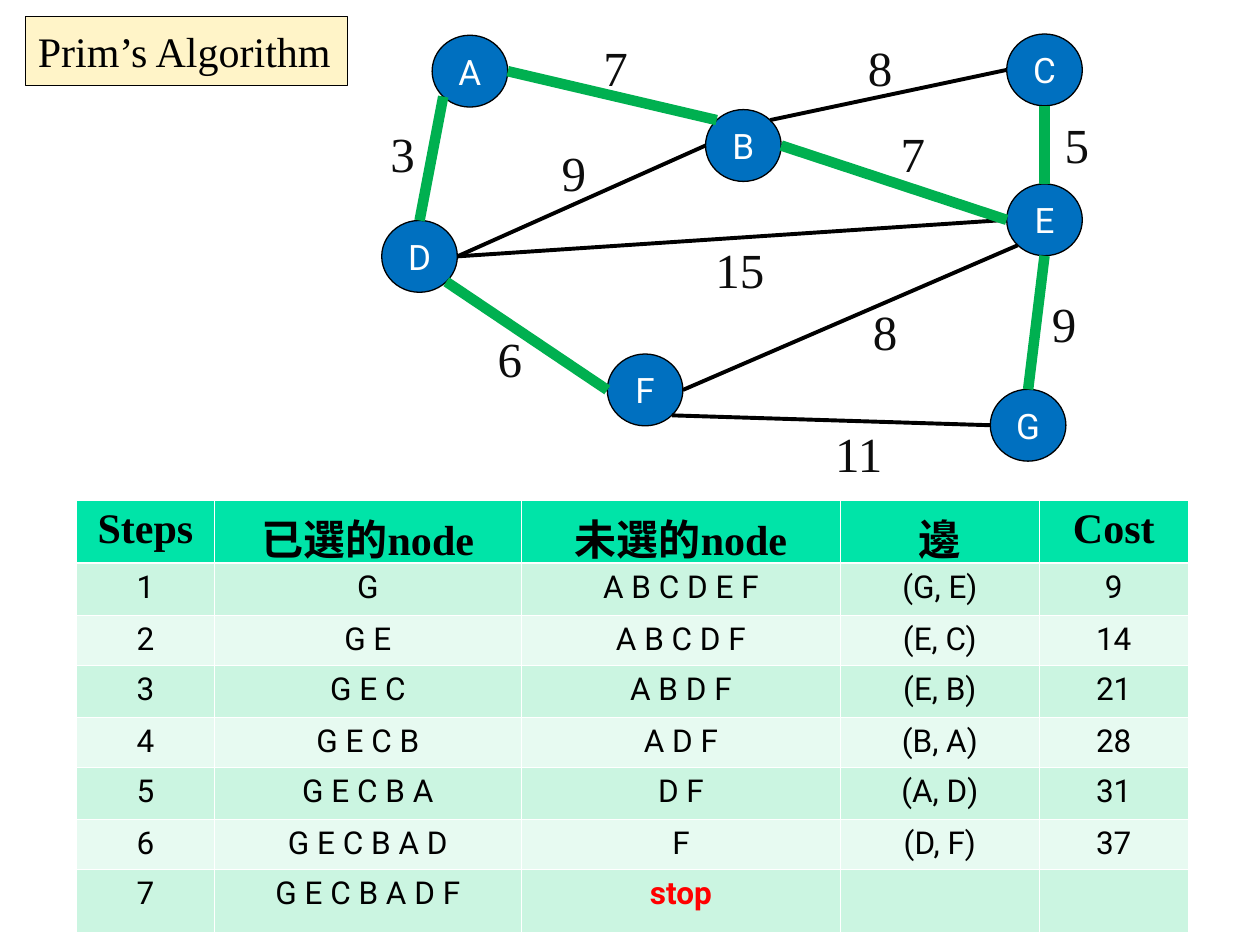
"""Build a slide that traces Prim's algorithm on a weighted graph."""
from math import cos, radians, sin

from lxml.etree import SubElement
from pptx import Presentation
from pptx.dml.color import RGBColor
from pptx.enum.shapes import MSO_CONNECTOR, MSO_SHAPE
from pptx.enum.text import MSO_ANCHOR, MSO_AUTO_SIZE, PP_ALIGN
from pptx.oxml.ns import qn
from pptx.util import Inches, Pt

THEME = {
    "node": "0070C0", "title": "FFF4C8", "chosen": "00B050", "ink": "000000",
    "header": "00E4A8", "bands": ("CBF5E1", "E7FAF1"), "grid": "FFFFFF",
    "thin": 0.75, "edge": 2.25, "bold_edge": 6, "cell_line": 0.45, "header_line": 1.47,
    "title_text": {"name": "Times New Roman", "size": 24, "color": "000000"},
    "node_text": {"name": "Roboto", "size": 20, "color": "FFFFFF"},
    "weight_text": {"name": "Times New Roman", "size": 28, "color": "0D0D0D"},
    "header_text": {"name": "Times New Roman", "size": 24, "color": "000000", "bold": True},
    "cell_text": {"name": "Roboto", "size": 18, "color": "000000", "bold": False},
    "stop_text": {"name": "Roboto", "size": 18, "color": "FF0000", "bold": True},
}

TITLE = "Prim’s Algorithm"
NODES = {"A": (3.43, 0.28), "E": (7.99, 1.46), "F": (4.82, 2.81), "G": (7.86, 3.09),
         "B": (5.6, 0.87), "C": (7.99, 0.27), "D": (3.03, 1.75)}
NODE_SIZE = (0.6, 0.57)
ANGLES = {"right": 0, "lower right": 45, "bottom": 90, "lower left": 135,
          "left": 180, "upper left": 225, "top": 270, "upper right": 315}
EDGES = [
    ("A", "right", "B", "upper left", 7, (4.69, 0.25), True),
    ("B", "upper right", "C", "left", 8, (6.79, 0.25), False),
    ("A", "lower left", "D", "top", 3, (3, 0.93), True),
    ("D", "lower right", "F", "left", 6, (3.85, 2.56), True),
    ("F", "lower right", "G", "left", 11, (6.53, 3.31), False),
    ("E", "bottom", "G", "top", 9, (8.25, 2.28), True),
    ("C", "bottom", "E", "top", 5, (8.35, 0.86), True),
    ("B", "right", "E", "left", 7, (7.05, 0.93), True),
    ("D", "right", "B", "left", 9, (4.36, 1.08), False),
    ("D", "right", "E", "left", 15, (5.58, 1.85), False),
    ("F", "right", "E", "lower left", 8, (6.83, 2.34), False),
]
STEPS = [
    ("Steps", "已選的node", "未選的node", "邊", "Cost"),
    ("1", "G", "A B C D E F", "(G, E)", "9"),
    ("2", "G E", "A B C D F", "(E, C)", "14"),
    ("3", "G E C", "A B D F", "(E, B)", "21"),
    ("4", "G E C B", "A D F", "(B, A)", "28"),
    ("5", "G E C B A", "D F", "(A, D)", "31"),
    ("6", "G E C B A D", "F", "(D, F)", "37"),
    ("7", "G E C B A D F", "stop", "", ""),
]
COLUMNS = (1.09, 2.44, 2.53, 1.58, 1.18)
ROWS = (0.5,) + (0.41, 0.4) * 3 + (0.5,)


def write(frame, text, style, align=PP_ALIGN.LEFT):
    """Put one formatted paragraph into a text frame."""
    paragraph = frame.paragraphs[0]
    paragraph.alignment = align
    span = paragraph.add_run()
    span.text = text
    values = {**style, "size": Pt(style["size"])}
    span.font.color.rgb = RGBColor.from_string(values.pop("color"))
    for name, value in values.items():
        setattr(span.font, name, value)


def paint(shape, color):
    """Give a shape a solid fill and a thin dark outline."""
    shape.fill.solid()
    shape.fill.fore_color.rgb = RGBColor.from_string(color)
    shape.line.color.rgb = RGBColor.from_string(THEME["ink"])
    shape.line.width = Pt(THEME["thin"])
    shape.shadow.inherit = False


def add_title(page):
    """Turn the title placeholder into a rounded label."""
    box = page.shapes.title
    box.left, box.top, box.width, box.height = map(Inches, (0.2, 0.13, 2.56, 0.55))
    outline = SubElement(box.element.spPr, qn("a:prstGeom"), prst="roundRect")
    SubElement(outline, qn("a:avLst"))
    paint(box, THEME["title"])
    frame = box.text_frame
    frame.auto_size = MSO_AUTO_SIZE.NONE
    frame.word_wrap = False
    frame.vertical_anchor = MSO_ANCHOR.MIDDLE
    write(frame, TITLE, THEME["title_text"])


def add_node(page, name):
    """Draw one graph node."""
    box = page.shapes.add_shape(MSO_SHAPE.FLOWCHART_CONNECTOR,
                                *map(Inches, NODES[name] + NODE_SIZE))
    paint(box, THEME["node"])
    box.text_frame.word_wrap = False
    box.text_frame.vertical_anchor = MSO_ANCHOR.MIDDLE
    write(box.text_frame, name, THEME["node_text"], PP_ALIGN.CENTER)


def rim_point(name, side):
    """Return the point on a node's rim at the named side."""
    angle = radians(ANGLES[side])
    return [Inches(start + size / 2 * (1 + turn)) for start, size, turn
            in zip(NODES[name], NODE_SIZE, (cos(angle), sin(angle)))]


def add_edge(page, edge, color, width):
    """Draw one edge between two nodes."""
    line = page.shapes.add_connector(MSO_CONNECTOR.STRAIGHT,
                                     *rim_point(*edge[:2]), *rim_point(*edge[2:4]))
    line.line.color.rgb = RGBColor.from_string(color)
    line.line.width = Pt(width)
    SubElement(line.element.spPr, qn("a:effectLst"))


def add_weight(page, weight, place):
    """Write an edge's weight."""
    width = 0.45 if weight < 10 else 0.65
    box = page.shapes.add_textbox(*map(Inches, place + (width, 0.57)))
    box.text_frame.word_wrap = True
    write(box.text_frame, str(weight), THEME["weight_text"])


def format_cell(cell, row):
    """Set the borders and fill of a table cell."""
    for side in ("L", "R", "T", "B"):
        heavy = (row, side) in ((0, "B"), (1, "T"))
        width = THEME["header_line" if heavy else "cell_line"]
        border = SubElement(cell._tc.get_or_add_tcPr(), qn(f"a:ln{side}"), w=str(Pt(width)))
        SubElement(SubElement(border, qn("a:solidFill")), qn("a:srgbClr"), val=THEME["grid"])
    cell.fill.solid()
    color = THEME["bands"][(row - 1) % 2] if row else THEME["header"]
    cell.fill.fore_color.rgb = RGBColor.from_string(color)


def add_steps(page):
    """Add the table of algorithm steps."""
    table = page.shapes.add_table(len(ROWS), len(COLUMNS), Inches(0.61), Inches(3.97),
                                  Inches(sum(COLUMNS)), Inches(sum(ROWS))).table
    for column, width in zip(table.columns, COLUMNS):
        column.width = Inches(width)
    for index, (height, texts) in enumerate(zip(ROWS, STEPS)):
        table.rows[index].height = Inches(height)
        for cell, text in zip(table.rows[index].cells, texts):
            format_cell(cell, index)
            kind = "header" if index == 0 else "stop" if text == "stop" else "cell"
            if index == 0:
                cell.margin_bottom = 0
            if text:
                write(cell.text_frame, text, THEME[f"{kind}_text"], PP_ALIGN.CENTER)


def main():
    """Assemble and save the deck."""
    deck = Presentation()
    deck.slide_width, deck.slide_height = Inches(10), Inches(7.5)
    page = deck.slides.add_slide(deck.slide_layouts[5])
    add_title(page)
    for name in NODES:
        add_node(page, name)
    for edge in EDGES:
        add_edge(page, edge, THEME["ink"], THEME["edge"])
    for *_, weight, place, _ in EDGES:
        add_weight(page, weight, place)
    add_steps(page)
    for edge in EDGES:
        if edge[-1]:
            add_edge(page, edge, THEME["chosen"], THEME["bold_edge"])
    deck.save("out.pptx")


if __name__ == "__main__":
    main()
